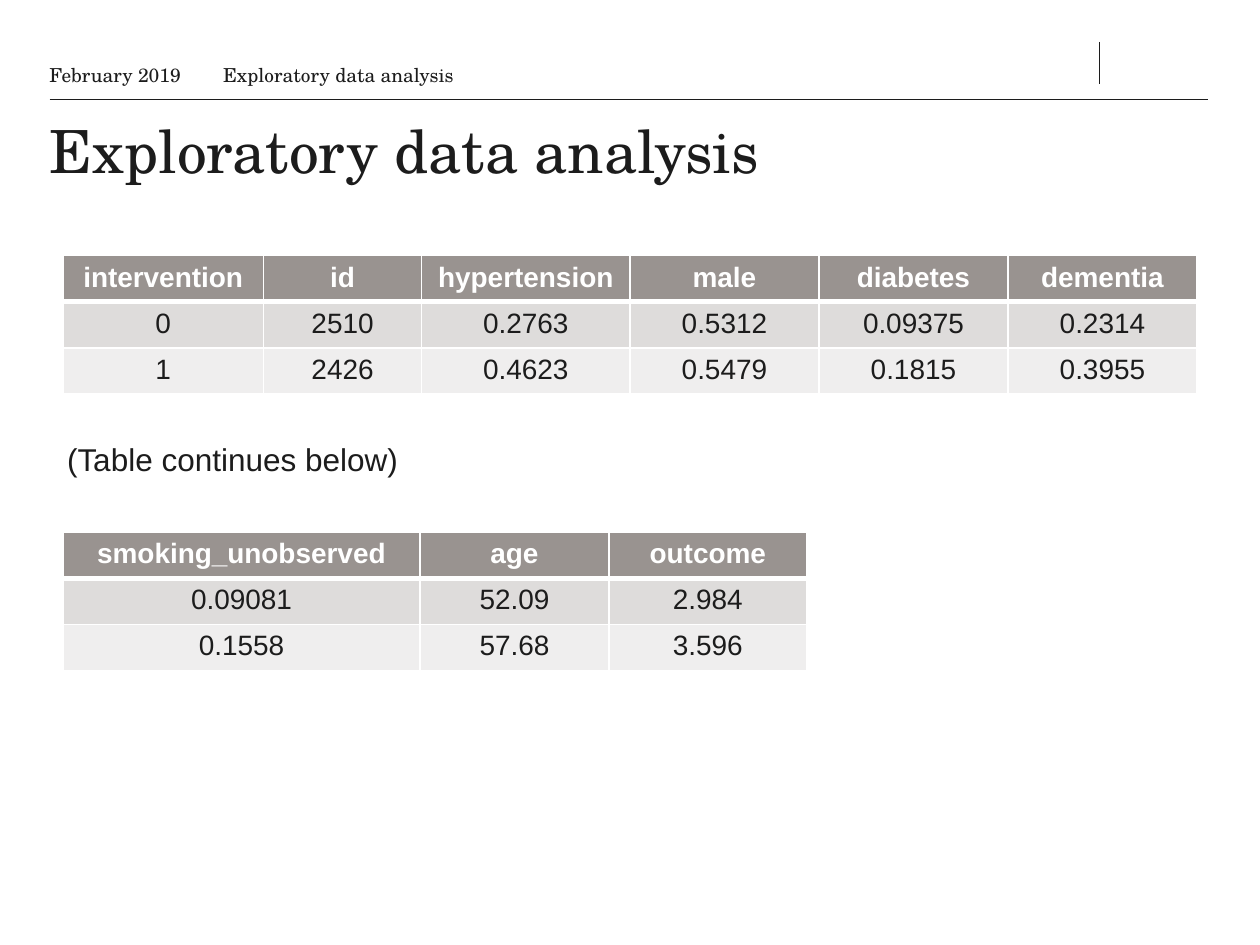
import pptx
import pptx.util
import pptx.dml.color
import pptx.enum.shapes
import pptx.enum.text
import pptx.oxml
import pptx.oxml.ns

Pt = pptx.util.Pt
Anchor = pptx.enum.text.MSO_ANCHOR
Align = pptx.enum.text.PP_ALIGN


def color(value):
    return pptx.dml.color.RGBColor.from_string(value)


class SlideBuilder:
    ink = "1C1C1C"
    white = "FFFFFF"
    header_fill = "999390"
    row_fills = ["DEDCDB", "EFEEEE"]
    serif = "TeX Gyre Schola"
    sans = "Arial"
    row_height = 25

    def __init__(self, slide):
        self.slide = slide

    def style(self, paragraph, font, size, ink, bold=False, align=Align.LEFT):
        paragraph.alignment = align
        paragraph.font.name = font
        paragraph.font.size = Pt(size)
        paragraph.font.bold = bold
        paragraph.font.color.rgb = color(ink)

    def text(self, content, left, top, width, height, font, size,
             anchor=Anchor.TOP, inset=(0, 0), align=Align.LEFT, wrap=True):
        box = self.slide.shapes.add_textbox(Pt(left), Pt(top), Pt(width), Pt(height))
        frame = box.text_frame
        frame.word_wrap = wrap
        frame.vertical_anchor = anchor
        frame.margin_left = frame.margin_right = Pt(inset[0])
        frame.margin_top = frame.margin_bottom = Pt(inset[1])
        paragraph = frame.paragraphs[0]
        paragraph.text = content
        self.style(paragraph, font, size, self.ink, align=align)

    def line(self, x1, y1, x2, y2, width):
        connector = self.slide.shapes.add_connector(
            pptx.enum.shapes.MSO_CONNECTOR.STRAIGHT, Pt(x1), Pt(y1), Pt(x2), Pt(y2))
        connector.line.color.rgb = color(self.ink)
        connector.line.width = Pt(width)
        properties = connector.element.spPr
        properties.append(properties.makeelement(pptx.oxml.ns.qn("a:effectLst"), {}))

    def borders(self, cell, top, bottom):
        properties = cell._tc.get_or_add_tcPr()
        sides = [("L", 1), ("R", 1), ("T", top), ("B", bottom)]
        for position, (side, width) in enumerate(sides):
            border = pptx.oxml.parse_xml(
                f'<a:ln{side} {pptx.oxml.ns.nsdecls("a")} w="{Pt(width)}">'
                f'<a:solidFill><a:srgbClr val="{self.white}"/></a:solidFill></a:ln{side}>')
            properties.insert(position, border)

    def table(self, left, top, widths, rows):
        table = self.slide.shapes.add_table(
            len(rows), len(widths), Pt(left), Pt(top),
            Pt(sum(widths)), Pt(self.row_height * len(rows))).table
        for column, width in zip(table.columns, widths):
            column.width = Pt(width)
        for row_index, values in enumerate(rows):
            table.rows[row_index].height = Pt(self.row_height)
            header = row_index == 0
            fill = self.header_fill if header else self.row_fills[(row_index - 1) % 2]
            for column_index, value in enumerate(values):
                cell = table.cell(row_index, column_index)
                cell.fill.solid()
                cell.fill.fore_color.rgb = color(fill)
                self.borders(cell, 3 if row_index == 1 else 1, 3 if header else 1)
                paragraph = cell.text_frame.paragraphs[0]
                paragraph.text = value
                self.style(paragraph, self.sans, 16, self.white if header else self.ink,
                           header, Align.CENTER)


presentation = pptx.Presentation()
presentation.slide_width = Pt(720)
presentation.slide_height = Pt(540)
builder = SlideBuilder(presentation.slides.add_slide(presentation.slide_layouts[6]))

topic = "Exploratory data analysis"
margin = 28.3
builder.line(margin, 56.7, 690.3, 56.7, 0.5)
builder.line(628.3, 24, 628.3, 48, 0.75)
builder.text(topic, margin, 65.4, 662, 41, builder.serif, 34)
builder.text(topic, 127.5, 28.3, 412.5, 21.3, builder.serif, 11, Anchor.BOTTOM)
builder.text("February 2019", margin, 28.3, 88, 21.3, builder.serif, 11, Anchor.BOTTOM)

builder.table(36, 146, [114.5, 90.5, 119, 108, 108, 108], [
    ["intervention", "id", "hypertension", "male", "diabetes", "dementia"],
    ["0", "2510", "0.2763", "0.5312", "0.09375", "0.2314"],
    ["1", "2426", "0.4623", "0.5479", "0.1815", "0.3955"],
])
builder.table(36, 304, [204, 108, 113], [
    ["smoking_unobserved", "age", "outcome"],
    ["0.09081", "52.09", "2.984"],
    ["0.1558", "57.68", "3.596"],
])
builder.text("(Table continues below)", 30.4, 248, 205, 29, builder.sans, 18,
             inset=(7.2, 3.6), align=Align.CENTER, wrap=False)

presentation.save("out.pptx")
